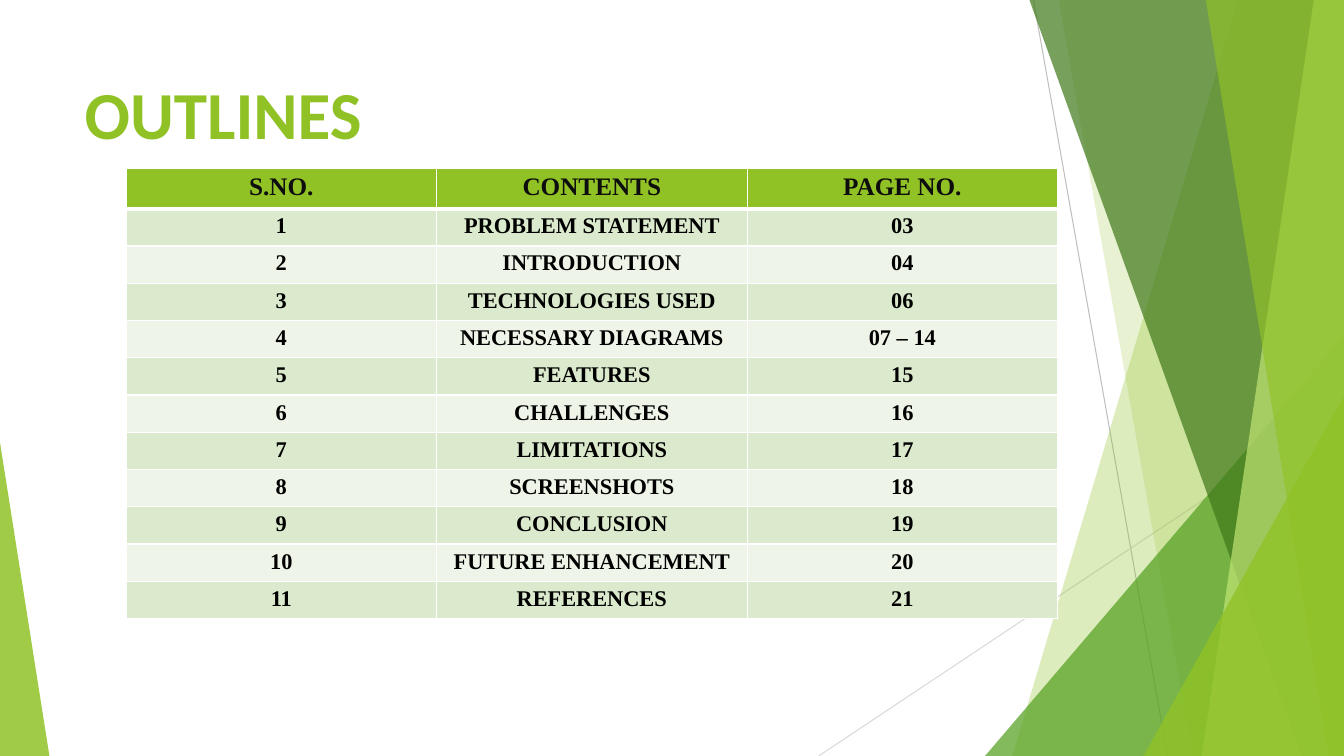
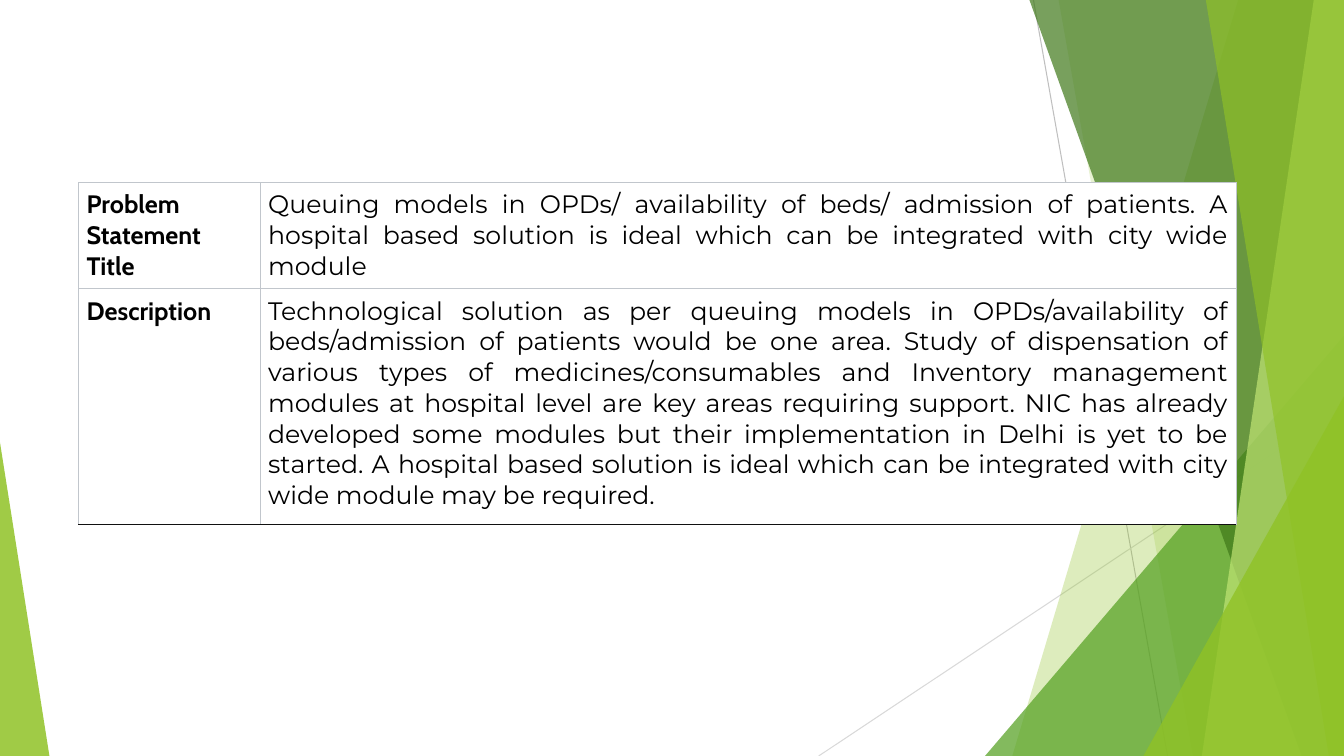
"""Build the outline and problem statement slides of a hospital queuing deck."""
from dataclasses import dataclass

from lxml.etree import SubElement
from pptx import Presentation
from pptx.dml.color import RGBColor
from pptx.enum.shapes import MSO_CONNECTOR, MSO_SHAPE
from pptx.enum.text import MSO_ANCHOR, MSO_AUTO_SIZE, PP_ALIGN
from pptx.oxml.ns import qn
from pptx.util import Inches, Pt


@dataclass(frozen=True)
class Theme:
    """Colours, fonts and type sizes of the deck."""
    green: str = "90C226"
    mid_green: str = "54A021"
    dark_green: str = "3F7819"
    pale_green: str = "C0E474"
    band_dark: str = "DBE9CD"
    band_light: str = "EEF4E8"
    white: str = "FFFFFF"
    black: str = "000000"
    header_text: str = "0D0D0D"
    line_dark: str = "BFBFBF"
    line_light: str = "D9D9D9"
    grid: str = "C1C6CC"
    grid_end: str = "111111"
    title_font: str = "Calibri"
    outline_font: str = "Times New Roman"
    label_font: str = "Cabin"
    body_font: str = "Montserrat"
    title_size: int = 48
    large_size: int = 18
    small_size: int = 16


THEME = Theme()
WIDTH, HEIGHT = 13.33, 7.5

RAYS = [
    ((10.25, 0), (11.58, HEIGHT), THEME.line_dark),
    ((WIDTH, 4.03), (8.12, HEIGHT), THEME.line_light),
]
# Bands run from the top and bottom left corners to the right slide edge.
BANDS = [
    ("band", 12.28, 10.04, THEME.green, 30),
    ("band", 10.5, 11.83, THEME.green, 20),
    ("triangle", (9.77, 3.33, 3.56), 1, THEME.mid_green, 72),
    ("band", 10.21, 12.91, THEME.dark_green, 70),
    ("band", 13.03, 11.92, THEME.pale_green, 70),
    ("band", 11.96, 13.18, THEME.green, 65),
    ("triangle", (11.34, 3.93, 1.99), 1, THEME.green, 80),
    ("triangle", (0, 4.39, 0.49), 0, THEME.green, 85),
]

OUTLINE_HEADER = ("S.NO.", "CONTENTS", "PAGE NO.")
OUTLINE = [
    ("PROBLEM STATEMENT", "03"),
    ("INTRODUCTION", "04"),
    ("TECHNOLOGIES USED", "06"),
    ("NECESSARY DIAGRAMS", "07 – 14"),
    ("FEATURES", "15"),
    ("CHALLENGES", "16"),
    ("LIMITATIONS", "17"),
    ("SCREENSHOTS", "18"),
    ("CONCLUSION", "19"),
    ("FUTURE ENHANCEMENT", "20"),
    ("REFERENCES", "21"),
]
PROBLEM = [
    ("Problem Statement Title",
     "Queuing models in OPDs/ availability of beds/ admission of patients. "
     "A hospital based solution is ideal which can be integrated with city "
     "wide module"),
    ("Description",
     "Technological solution as per queuing models in OPDs/availability of "
     "beds/admission of patients would be one area. Study of dispensation of "
     "various types of medicines/consumables and Inventory management modules "
     "at hospital level are key areas requiring support. NIC has already "
     "developed some modules but their implementation in Delhi is yet to be "
     "started. A hospital based solution is ideal which can be integrated "
     "with city wide module may be required."),
]


def rgb(color):
    """Turn a hex string into a colour."""
    return RGBColor.from_string(color)


def style_text(para, font, size, color, bold=True, align=PP_ALIGN.LEFT):
    """Set the font and alignment of a paragraph."""
    para.alignment = align
    para.font.name = font
    para.font.size = Pt(size)
    para.font.bold = bold
    para.font.color.rgb = rgb(color)


def add_ray(page, start, end, color):
    """Draw a thin straight line."""
    ray = page.shapes.add_connector(
        MSO_CONNECTOR.STRAIGHT, *(Inches(value) for value in start + end))
    ray.line.color.rgb = rgb(color)
    ray.line.width = Pt(0.75)
    SubElement(ray.element.spPr, qn("a:effectLst"))
    return ray


def add_band(page, top_left, bottom_left):
    """Draw a full-height band that ends at the right slide edge."""
    corners = [(top_left, 0), (WIDTH, 0), (WIDTH, HEIGHT), (bottom_left, HEIGHT)]
    points = [(Inches(x), Inches(y)) for x, y in corners]
    builder = page.shapes.build_freeform(*points[0])
    builder.add_line_segments(points[1:], close=True)
    return builder.convert_to_shape()


def add_triangle(page, place, apex):
    """Draw a triangle that stands on the bottom slide edge."""
    left, top, width = place
    triangle = page.shapes.add_shape(
        MSO_SHAPE.ISOSCELES_TRIANGLE, Inches(left), Inches(top),
        Inches(width), Inches(HEIGHT - top))
    triangle.adjustments[0] = apex
    return triangle


def fill_translucent(shape, color, opacity):
    """Fill a shape with a colour at an opacity in percent."""
    shape.shadow.inherit = False
    shape.line.fill.background()
    shape.fill.solid()
    shape.fill.fore_color.rgb = rgb(color)
    color_node = shape.element.spPr.find(qn("a:solidFill"))[0]
    SubElement(color_node, qn("a:alpha"), val=str(opacity * 1000))


def decorate_master(deck, page):
    """Draw the shared decoration and hand it over to the slide master."""
    decoration = [add_ray(page, *ray) for ray in RAYS]
    makers = {"band": add_band, "triangle": add_triangle}
    for kind, first, second, color, opacity in BANDS:
        shape = makers[kind](page, first, second)
        fill_translucent(shape, color, opacity)
        decoration.append(shape)
    tree = deck.slide_master.element.cSld.spTree
    for index, shape in enumerate(decoration):
        shape.element.xpath(".//p:cNvPr")[0].set("id", str(100 + index))
        tree.insert(2 + index, shape.element)


def set_title(page, text):
    """Fill and place the title placeholder."""
    title = page.shapes.title
    title.left, title.top = Inches(0.74), Inches(0.67)
    title.width, title.height = Inches(9.4), Inches(1.44)
    frame = title.text_frame
    frame.text = text
    frame.vertical_anchor = MSO_ANCHOR.TOP
    frame.auto_size = MSO_AUTO_SIZE.NONE
    style_text(frame.paragraphs[0], THEME.title_font, THEME.title_size,
               THEME.green)


def add_grid(page, left, top, columns, rows):
    """Add a table with the given column widths and row heights."""
    table = page.shapes.add_table(
        len(rows), len(columns), Inches(left), Inches(top),
        Inches(sum(columns)), Inches(sum(rows))).table
    table.horz_banding = False
    for column, width in zip(table.columns, columns):
        column.width = Inches(width)
    for row, height in zip(table.rows, rows):
        row.height = Inches(height)
    return table


def format_cell(cell, text, fill, border, bottom=None):
    """Write a cell, draw its borders and fill it; return its paragraph."""
    cell.text = text
    properties = cell._tc.get_or_add_tcPr()
    sides = {"lnL": border, "lnR": border, "lnT": border,
             "lnB": bottom or border}
    for side, (color, width) in sides.items():
        line = SubElement(properties, qn(f"a:{side}"), w=str(Pt(width)))
        SubElement(SubElement(line, qn("a:solidFill")), qn("a:srgbClr"),
                   val=color)
    cell.fill.solid()
    cell.fill.fore_color.rgb = rgb(fill)
    return cell.text_frame.paragraphs[0]


def add_outline_table(page):
    """Add the numbered list of contents."""
    entries = [(str(number), *entry) for number, entry in enumerate(OUTLINE, 1)]
    table = add_grid(page, 1.25, 1.67, [3.08] * 3, [0.4] + [0.37] * len(entries))
    thin, thick = (THEME.white, 1), (THEME.white, 3)
    for row, texts in enumerate([OUTLINE_HEADER] + entries):
        if row == 0:
            fill, size, color = THEME.green, THEME.large_size, THEME.header_text
        else:
            fill = THEME.band_dark if row % 2 else THEME.band_light
            size, color = THEME.small_size, THEME.black
        for column, text in enumerate(texts):
            para = format_cell(table.cell(row, column), text, fill, thin,
                               thin if row else thick)
            style_text(para, THEME.outline_font, size, color,
                       align=PP_ALIGN.CENTER)


def add_problem_table(page):
    """Add the table of problem title and description."""
    table = add_grid(page, 0.78, 1.81, [1.8, 9.68], [1.04, 2.34])
    table.first_row = False
    border, end = (THEME.grid, 0.6), (THEME.grid_end, 0.6)
    looks = [(THEME.label_font, True, PP_ALIGN.LEFT),
             (THEME.body_font, False, PP_ALIGN.JUSTIFY)]
    for row, texts in enumerate(PROBLEM):
        for column, (text, look) in enumerate(zip(texts, looks)):
            cell = table.cell(row, column)
            cell.margin_left = cell.margin_right = Inches(0.08)
            cell.margin_top = cell.margin_bottom = Inches(0.07)
            para = format_cell(cell, text, THEME.white, border,
                               end if row == len(PROBLEM) - 1 else border)
            font, bold, align = look
            style_text(para, font, THEME.large_size, THEME.black, bold, align)


def main():
    """Build and save the deck."""
    deck = Presentation()
    deck.slide_width, deck.slide_height = Inches(WIDTH), Inches(HEIGHT)
    outline_page = deck.slides.add_slide(deck.slide_layouts[5])
    decorate_master(deck, outline_page)
    set_title(outline_page, "OUTLINES")
    add_outline_table(outline_page)
    add_problem_table(deck.slides.add_slide(deck.slide_layouts[6]))
    deck.save("out.pptx")


if __name__ == "__main__":
    main()
